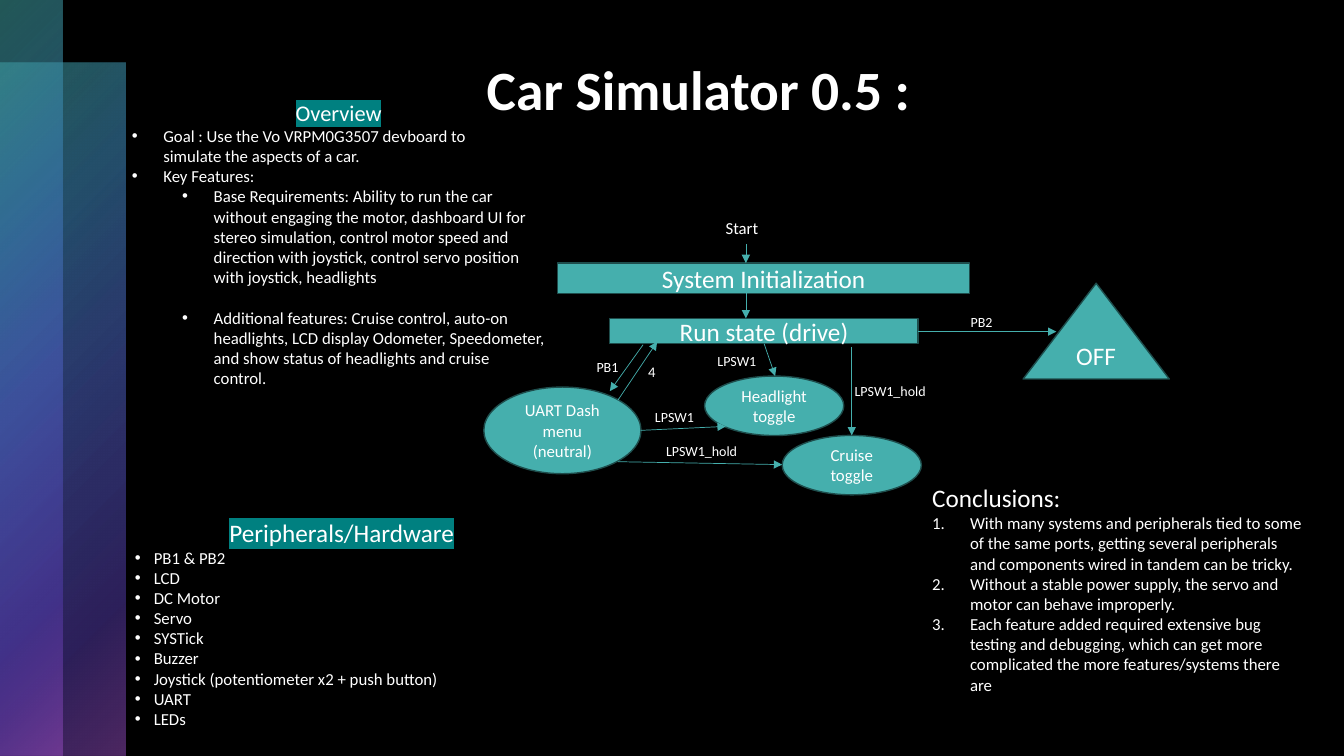
from lxml import etree
from pptx import Presentation
from pptx.dml.color import RGBColor
from pptx.enum.shapes import MSO_CONNECTOR, MSO_SHAPE
from pptx.enum.text import MSO_ANCHOR, PP_ALIGN
from pptx.oxml.ns import qn
from pptx.util import Pt

RECTANGLE = MSO_SHAPE.RECTANGLE
OVAL = MSO_SHAPE.OVAL
TRIANGLE = MSO_SHAPE.ISOSCELES_TRIANGLE
STRAIGHT = MSO_CONNECTOR.STRAIGHT
CENTER = PP_ALIGN.CENTER
LEFT = PP_ALIGN.LEFT
MIDDLE = MSO_ANCHOR.MIDDLE
TOP = MSO_ANCHOR.TOP


def color(value):
    return RGBColor.from_string(value)


def add_child(parent, tag, **attributes):
    return etree.SubElement(parent, qn(tag), attributes)


def write(frame, text, size=12, bold=False, align=LEFT, bullet=None, number=False,
          indent=0, hang=0, before=0, right=0, highlight=None):
    first = frame.paragraphs[0]
    para = first if not first.runs else frame.add_paragraph()
    para.alignment = align
    para.space_before = Pt(before)
    properties = para._p.get_or_add_pPr()
    if bullet or number:
        properties.set("marL", str(Pt(indent)))
        properties.set("marR", str(Pt(right)))
        properties.set("indent", str(-Pt(hang)))
        if number:
            add_child(properties, "a:buFont", typeface="+mj-lt")
            add_child(properties, "a:buAutoNum", type="arabicPeriod")
        else:
            add_child(properties, "a:buFont", typeface="Arial")
            add_child(properties, "a:buChar", char=bullet)
    span = para.add_run()
    span.text = text
    span.font.size = Pt(size)
    span.font.bold = bold
    span.font.name = Style.font
    span.font.color.rgb = color(Style.white)
    if highlight:
        mark = etree.Element(qn("a:highlight"))
        add_child(mark, "a:srgbClr", val=highlight)
        span.font._element.find(qn("a:solidFill")).addnext(mark)


class Style:
    """Holds the look of the deck and draws elements on the current page."""

    font = "Calibri"
    white = "FFFFFF"
    black = "000000"
    teal = "45AFAD"
    outline = "1E4D4C"
    marker = "008080"
    glow = [(0, "45AFAD", 50), (25, "3B82B1", 60), (50, "4D63C3", 55),
            (81, "593EB3", 50), (99, "994DC3", 50)]

    def __init__(self, page):
        self.page = page
        page.background.fill.solid()
        page.background.fill.fore_color.rgb = color(self.black)

    def shape(self, kind, left, top, width, height):
        shape = self.page.shapes.add_shape(kind, Pt(left), Pt(top), Pt(width), Pt(height))
        shape.shadow.inherit = False
        return shape

    def band(self, left, top, width, height):
        band = self.shape(RECTANGLE, left, top, width, height)
        band.line.fill.background()
        gradient = etree.Element(qn("a:gradFill"), rotWithShape="1")
        stops = add_child(gradient, "a:gsLst")
        for position, value, opacity in self.glow:
            stop = add_child(stops, "a:gs", pos=str(position * 1000))
            tint = add_child(stop, "a:srgbClr", val=value)
            add_child(tint, "a:alpha", val=str(opacity * 1000))
        circle = add_child(gradient, "a:path", path="circle")
        add_child(circle, "a:fillToRect", r="100000", b="100000")
        band._element.spPr.find(qn("a:prstGeom")).addnext(gradient)

    def node(self, kind, text, left, top, width, height, size):
        node = self.shape(kind, left, top, width, height)
        node.fill.solid()
        node.fill.fore_color.rgb = color(self.teal)
        node.line.color.rgb = color(self.outline)
        node.line.width = Pt(1)
        frame = node.text_frame
        frame.word_wrap = True
        frame.vertical_anchor = MIDDLE
        write(frame, text, size=size, align=CENTER)

    def box(self, left, top, width, height, wrap=True):
        box = self.page.shapes.add_textbox(Pt(left), Pt(top), Pt(width), Pt(height))
        box.text_frame.word_wrap = wrap
        box.text_frame.vertical_anchor = TOP
        return box.text_frame

    def label(self, text, left, top, width, height=19.4, size=10):
        write(self.box(left, top, width, height, wrap=False), text, size=size)

    def arrow(self, *ends):
        arrow = self.page.shapes.add_connector(STRAIGHT, *map(Pt, ends))
        arrow.line.color.rgb = color(self.teal)
        arrow.line.width = Pt(0.5)
        add_child(arrow.line._get_or_add_ln(), "a:tailEnd", type="triangle")
        add_child(arrow._element.spPr, "a:effectLst")


def add_texts(style):
    title = style.box(340.6, 36, 330, 42.5)
    write(title, "Car Simulator 0.5 :", size=39.6, bold=True)

    overview = style.box(87.1, 67, 309.6, 216)
    point = {"bullet": "•", "indent": 22.5, "hang": 22.5}
    detail = {**point, "indent": 58.5}
    write(overview, "Overview", size=16, align=CENTER, highlight=style.marker)
    write(overview, "Goal : Use the Vo VRPM0G3507 devboard to simulate the aspects of a car.",
          right=24, **point)
    write(overview, "Key Features:", **point)
    write(overview, "Base Requirements: Ability to run the car without engaging the motor, "
          "dashboard UI for stereo simulation, control motor speed and direction with "
          "joystick, control servo position with joystick, headlights", **detail)
    write(overview, "Additional features: Cruise control, auto-on headlights, LCD display "
          "Odometer, Speedometer, and show status of headlights and cruise control.",
          before=14.6, **detail)

    hardware = style.box(89.3, 365.8, 309.6, 174.2)
    write(hardware, "Peripherals/Hardware", size=18, align=CENTER, highlight=style.marker)
    for part in ("PB1 & PB2", "LCD", "DC Motor", "Servo", "SYSTick", "Buzzer",
                 "Joystick (potentiometer x2 + push button)", "UART", "LEDs"):
        write(hardware, part, bullet="•", indent=13.5, hang=13.5)

    conclusions = style.box(658.8, 341.3, 279.4, 174.2)
    write(conclusions, "Conclusions:", size=18)
    for lesson in (
            "With many systems and peripherals tied to some of the same ports, getting "
            "several peripherals and components wired in tandem can be tricky.",
            "Without a stable power supply, the servo and motor can behave improperly.",
            "Each feature added required extensive bug testing and debugging, which can "
            "get more complicated the more features/systems there are"):
        write(conclusions, lesson, number=True, indent=27, hang=27)


def add_flow(style):
    for node in (
            (RECTANGLE, "System Initialization", 398.2, 187.9, 294.5, 21.6, 18),
            (RECTANGLE, "Run state (drive)", 435.6, 227.5, 220.3, 18, 18),
            (OVAL, "UART Dash menu (neutral)", 345.6, 276.5, 112.3, 61.9, 12),
            (OVAL, "Headlight toggle", 503.3, 268.6, 99.4, 42.5, 12),
            (OVAL, "Cruise toggle", 558.7, 311, 99.4, 42.5, 12),
            (TRIANGLE, "OFF", 730.8, 202.3, 104.4, 68.4, 18)):
        style.node(*node)
    for ends in (
            (532.8, 174.2, 532.8, 187.9), (532.8, 209.5, 532.8, 227.5),
            (459.4, 246.2, 435.6, 279.4), (441.4, 285.8, 469.4, 244.1),
            (545.8, 245.5, 553.7, 268.6), (608.4, 247.7, 608.4, 311),
            (457.9, 307.4, 518.4, 304.6), (441.4, 329.8, 558.7, 331.9),
            (655.9, 236.9, 754.6, 236.9)):
        style.arrow(*ends)
    style.label("Start", 511.2, 151.9, 42.5, 21.6, size=12)
    style.label("4", 455.8, 255.6, 20.9, 20.2, size=10.5)
    for text, left, top, width in (
            ("PB2", 686.2, 220.3, 33.8), ("PB1", 419, 252.7, 32.4),
            ("LPSW1_hold", 468.7, 312.5, 72), ("LPSW1_hold", 603.4, 270, 72),
            ("LPSW1", 460.8, 288, 47.5), ("LPSW1", 505.4, 248.4, 47.5)):
        style.label(text, left, top, width)


def main():
    deck = Presentation()
    deck.slide_width = Pt(960)
    deck.slide_height = Pt(540)
    style = Style(deck.slides.add_slide(deck.slide_layouts[6]))
    style.band(0, 44.6, 90, 495.4)
    style.band(0, 0, 45, 540)
    add_texts(style)
    add_flow(style)
    deck.save("out.pptx")


if __name__ == "__main__":
    main()
